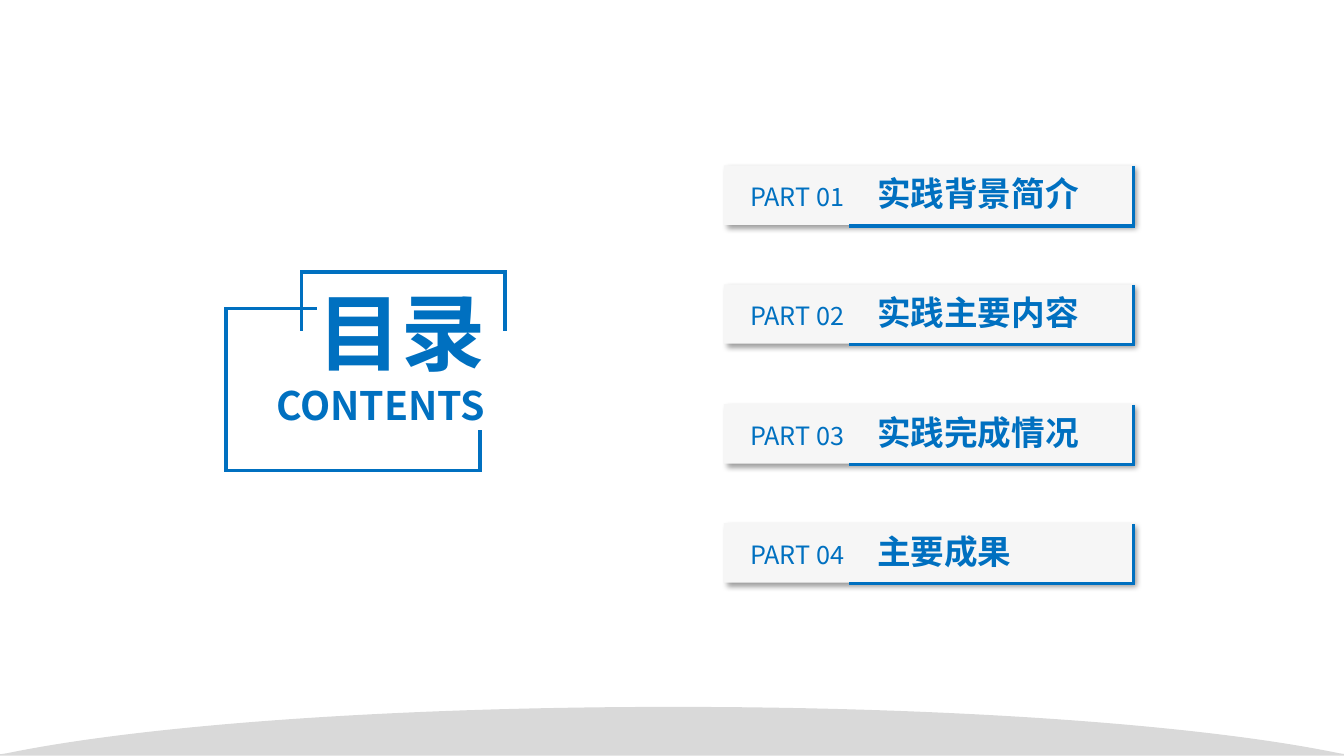
import pptx
import pptx.dml.color
import pptx.enum.shapes
import pptx.enum.text
import pptx.oxml
import pptx.oxml.ns
import pptx.util

TITLE = [("目录", 60), ("CONTENTS", 28)]
PARTS = [
    ("PART 01", "实践背景简介"),
    ("PART 02", "实践主要内容"),
    ("PART 03", "实践完成情况"),
    ("PART 04", "主要成果"),
]

FONT = "Noto Sans CJK SC"
BLUE = pptx.dml.color.RGBColor(0x00, 0x70, 0xC0)
PALE = pptx.dml.color.RGBColor(0xF6, 0xF6, 0xF6)
GREY = pptx.dml.color.RGBColor(0xD9, 0xD9, 0xD9)

PX = 9144  # EMU in one px, 100 px to the inch
PAGE_WIDTH, PAGE_HEIGHT = 1333, 750
CARD_LEFT, CARD_WIDTH, CARD_HEIGHT = 718, 406, 59
CARD_RIGHT = CARD_LEFT + CARD_WIDTH
FIRST_TOP, LAST_TOP = 164, 519
CARD_STEP = (LAST_TOP - FIRST_TOP) / (len(PARTS) - 1)
ACCENT_LEFT = 842
HEADING_TAB = 126

TITLE_FRAMES = [
    [(299, 328), (299, 270), (501, 270), (501, 328)],
    [(476, 427), (476, 467), (224, 467), (224, 306), (314, 306)],
]
HILL = [
    (668, 702), (947, 702), (1193, 720), (1328, 748),
    (1335, 749), (0, 749), (7, 748),
    (143, 720), (388, 702), (668, 702),
]
HILL_CURVES = [0, 6]  # segments where a cubic curve of three points starts
HILL_LEFT = 0

NAMESPACE = pptx.oxml.ns.nsdecls("a")
SHADOW = (
    f'<a:effectLst {NAMESPACE}><a:outerShdw blurRad="50800" dist="38100" dir="2700000" '
    'algn="tl" rotWithShape="0"><a:srgbClr val="000000"><a:alpha val="40000"/>'
    "</a:srgbClr></a:outerShdw></a:effectLst>"
)


def add_outline(page, points, color, width):
    corners = [(x * PX, y * PX) for x, y in points]
    builder = page.shapes.build_freeform(*corners[0], scale=1.0)
    builder.add_line_segments(corners[1:], close=points[0] == points[-1])
    outline = builder.convert_to_shape()
    outline.shadow.inherit = False
    outline.fill.background()
    outline.line.color.rgb = color
    outline.line.width = pptx.util.Pt(width)
    outline.line._get_or_add_ln().append(
        pptx.oxml.parse_xml(f'<a:miter {NAMESPACE} lim="800000"/>'))
    return outline


def add_text_frame(page, left, top, width, height):
    box = page.shapes.add_textbox(left * PX, top * PX, width * PX, height * PX)
    box.text_frame.word_wrap = True
    box.text_frame.auto_size = pptx.enum.text.MSO_AUTO_SIZE.SHAPE_TO_FIT_TEXT
    return box.text_frame


def add_span(para, text, size, bold):
    span = para.add_run()
    span.text = text
    span.font.size = pptx.util.Pt(size)
    span.font.bold = bold
    span.font.name = FONT
    span.font.color.rgb = BLUE
    east_asian = pptx.oxml.parse_xml(f'<a:ea {NAMESPACE} typeface="{FONT}"/>')
    span.font._element.find(pptx.oxml.ns.qn("a:latin")).addnext(east_asian)


def add_hill(page, left):
    hill = add_outline(page, [(x + left, y) for x, y in HILL], GREY, 1)
    hill.fill.solid()
    hill.fill.fore_color.rgb = GREY
    segments = list(hill._element.iter(pptx.oxml.ns.qn("a:lnTo")))
    for start in HILL_CURVES:
        curve = pptx.oxml.parse_xml(f"<a:cubicBezTo {NAMESPACE}/>")
        segments[start].addprevious(curve)
        for segment in segments[start:start + 3]:
            curve.append(segment[0])
            segment.getparent().remove(segment)


def add_title(page):
    frame = add_text_frame(page, 142, 273, 349, 158)
    for index, (text, size) in enumerate(TITLE):
        para = frame.add_paragraph() if index else frame.paragraphs[0]
        para.alignment = pptx.enum.text.PP_ALIGN.RIGHT
        add_span(para, text, size, True)
    for points in TITLE_FRAMES:
        add_outline(page, points, BLUE, 2.5)


def add_part(page, top, label, heading):
    card = page.shapes.add_shape(pptx.enum.shapes.MSO_SHAPE.RECTANGLE, CARD_LEFT * PX,
                                 top * PX, CARD_WIDTH * PX, CARD_HEIGHT * PX)
    card.fill.solid()
    card.fill.fore_color.rgb = PALE
    card.line.fill.background()
    card._element.spPr.append(pptx.oxml.parse_xml(SHADOW))

    para = add_text_frame(page, 734, top + 3, 391, 50).paragraphs[0]
    para._p.get_or_add_pPr().append(pptx.oxml.parse_xml(
        f'<a:tabLst {NAMESPACE}><a:tab pos="{HEADING_TAB * PX}" algn="l"/></a:tabLst>'))
    add_span(para, label + "\t", 18, False)
    add_span(para, heading, 24, True)

    bottom = top + CARD_HEIGHT + 1
    add_outline(page, [(CARD_RIGHT, top + 1), (CARD_RIGHT, bottom), (ACCENT_LEFT, bottom)],
                BLUE, 2.5)


def main():
    deck = pptx.Presentation()
    deck.slide_width = PAGE_WIDTH * PX
    deck.slide_height = PAGE_HEIGHT * PX
    page = deck.slides.add_slide(deck.slide_layouts[6])
    add_hill(page, HILL_LEFT)
    add_title(page)
    for index, (label, heading) in enumerate(PARTS):
        add_part(page, FIRST_TOP + round(index * CARD_STEP), label, heading)
    deck.save("out.pptx")


if __name__ == "__main__":
    main()
